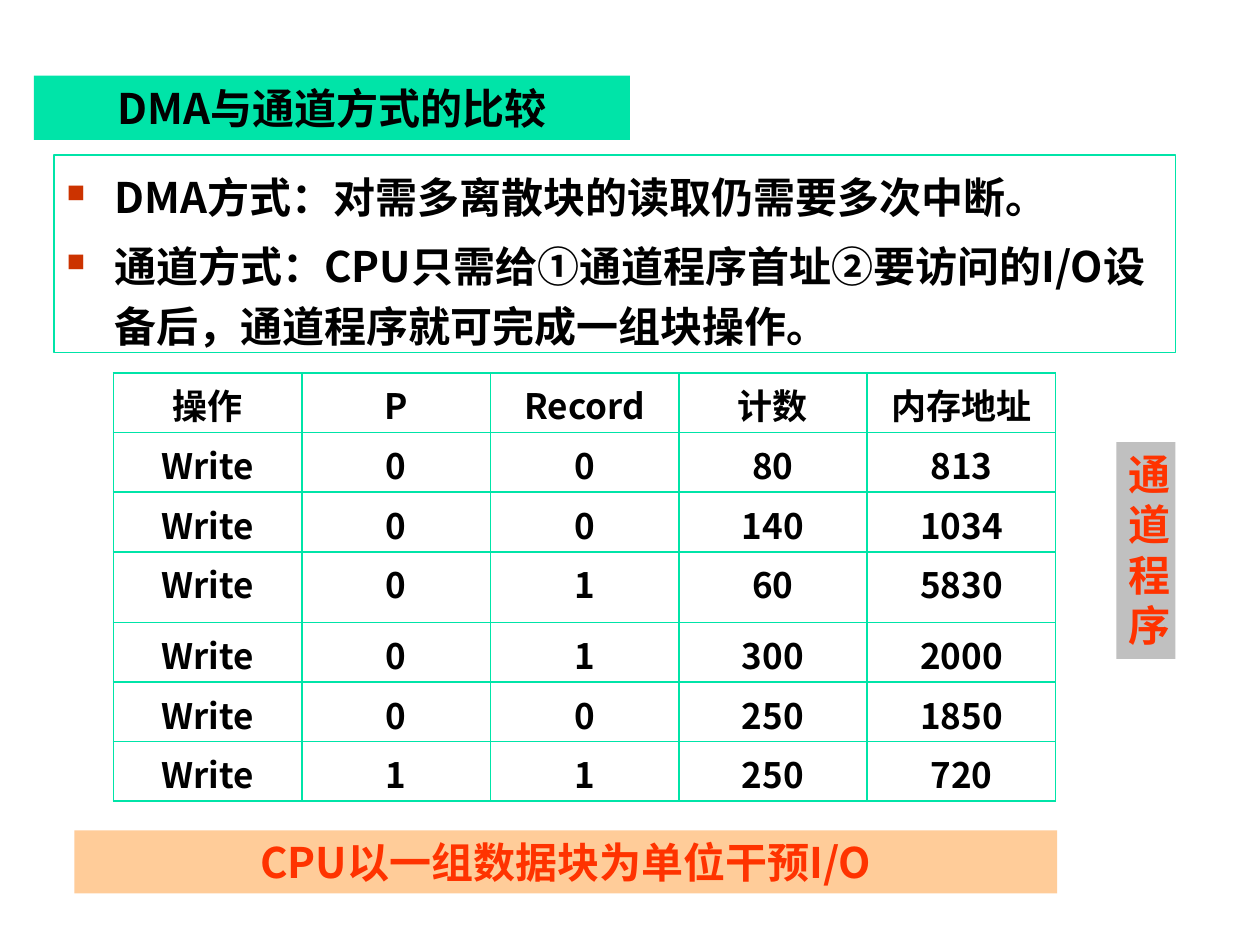
from lxml.etree import SubElement
from pptx import Presentation
from pptx.dml.color import RGBColor
from pptx.enum.shapes import MSO_SHAPE as Shape
from pptx.enum.text import MSO_ANCHOR as Anchor, PP_ALIGN as Align
from pptx.oxml.ns import qn
from pptx.util import Inches, Pt

FONT = "Noto Sans CJK SC"
COLORS = {
    "text": "000000",
    "accent": "FF3300",
    "bullet": "CC3300",
    "green": "00E4A8",
    "peach": "FFCC99",
    "gray": "C0C0C0",
    "white": "FFFFFF",
}
POINTS = [
    "DMA方式：对需多离散块的读取仍需要多次中断。",
    "通道方式：CPU只需给①通道程序首址②要访问的I/O设备后，通道程序就可完成一组块操作。",
]
HEADER = ["操作", "P", "Record", "计数", "内存地址"]
COMMANDS = [
    (0, 0, 80, 813),
    (0, 0, 140, 1034),
    (0, 1, 60, 5830),
    (0, 1, 300, 2000),
    (0, 0, 250, 1850),
    (1, 1, 250, 720),
]


def rgb(name):
    return RGBColor.from_string(COLORS[name])


def style_para(para, size, color="text", align=Align.CENTER):
    para.alignment = align
    font = para.font
    font.name, font.size, font.bold = FONT, Pt(size), True
    font.color.rgb = rgb(color)
    properties = para._p.get_or_add_pPr().find(qn("a:defRPr"))
    SubElement(properties, qn("a:ea"), typeface=FONT)


def add_box(page, left, top, width, height, fill=None, line=None):
    box = page.shapes.add_shape(
        Shape.RECTANGLE, Inches(left), Inches(top), Inches(width), Inches(height)
    )
    box.shadow.inherit = False
    if fill:
        box.fill.solid()
        box.fill.fore_color.rgb = rgb(fill)
    else:
        box.fill.background()
    if line:
        box.line.color.rgb = rgb(line)
        box.line.width = Pt(0.75)
    else:
        box.line.fill.background()
    box.text_frame.word_wrap = True
    box.text_frame.vertical_anchor = Anchor.TOP
    return box


def add_label(page, text, place, fill, color):
    frame = add_box(page, *place, fill=fill).text_frame
    frame.text = text
    style_para(frame.paragraphs[0], 24, color)
    return frame


def add_bullet(para):
    properties = para._p.get_or_add_pPr()
    properties.set("marL", str(Inches(0.38)))
    properties.set("indent", str(-Inches(0.38)))
    color = SubElement(properties, qn("a:buClr"))
    SubElement(color, qn("a:srgbClr"), val=COLORS["bullet"])
    SubElement(properties, qn("a:buSzPct"), val="60000")
    SubElement(properties, qn("a:buChar"), char="■")


def add_points(page):
    frame = add_box(page, 0.43, 1.23, 8.9, 1.57, line="green").text_frame
    frame.text = "\n".join(POINTS)
    for para in frame.paragraphs:
        para.line_spacing = 1.2
        para.space_before = Pt(4.8)
        add_bullet(para)
        style_para(para, 24, align=Align.LEFT)


def add_borders(cell):
    properties = cell._tc.get_or_add_tcPr()
    for index, side in enumerate(("lnL", "lnR", "lnT", "lnB")):
        line = properties.makeelement(qn(f"a:{side}"), {"w": str(Pt(1))})
        fill = SubElement(line, qn("a:solidFill"))
        SubElement(fill, qn("a:srgbClr"), val=COLORS["green"])
        properties.insert(index, line)


def add_command_table(page):
    rows = [HEADER] + [("Write", *command) for command in COMMANDS]
    table = page.shapes.add_table(
        len(rows), len(HEADER), Inches(0.9), Inches(2.96), Inches(7.48), Inches(3.32)
    ).table
    table.first_row = table.horz_banding = False
    for row in table.rows:
        row.height = Inches(0.46)
    table.rows[3].height = Inches(0.56)
    for row_index, values in enumerate(rows):
        for column_index, value in enumerate(values):
            cell = table.cell(row_index, column_index)
            cell.text = str(value)
            cell.margin_bottom = Inches(0.02)
            cell.fill.solid()
            cell.fill.fore_color.rgb = rgb("white")
            add_borders(cell)
            para = cell.text_frame.paragraphs[0]
            para.space_before = Pt(4)
            style_para(para, 20)


def main():
    deck = Presentation()
    deck.slide_width, deck.slide_height = Inches(10), Inches(7.5)
    page = deck.slides.add_slide(deck.slide_layouts[6])
    add_points(page)
    title = add_label(page, "DMA与通道方式的比较", (0.27, 0.6, 4.73, 0.51), "green", "text")
    title.vertical_anchor = Anchor.MIDDLE
    add_label(page, "CPU以一组数据块为单位干预I/O", (0.59, 6.59, 7.8, 0.5), "peach", "accent")
    add_command_table(page)
    add_label(page, "通道程序", (8.86, 3.51, 0.47, 1.72), "gray", "accent")
    deck.save("out.pptx")


if __name__ == "__main__":
    main()
